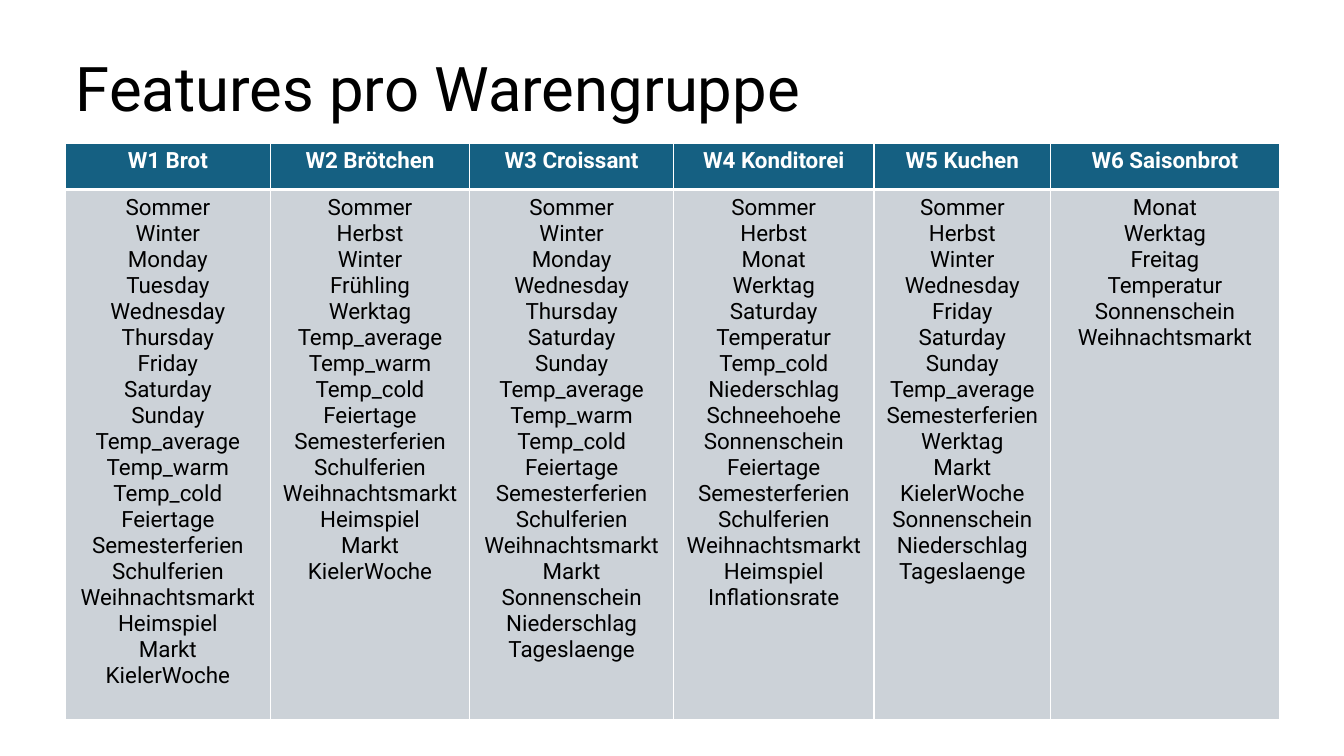
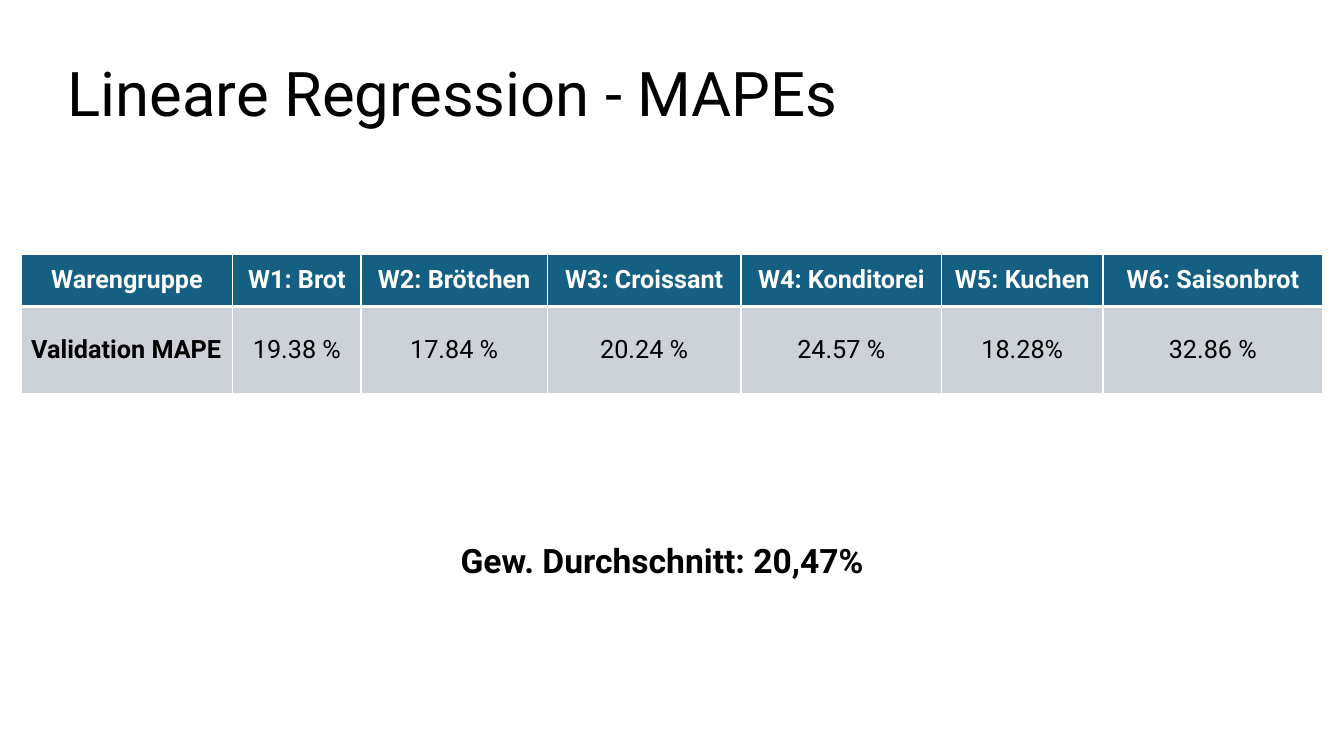
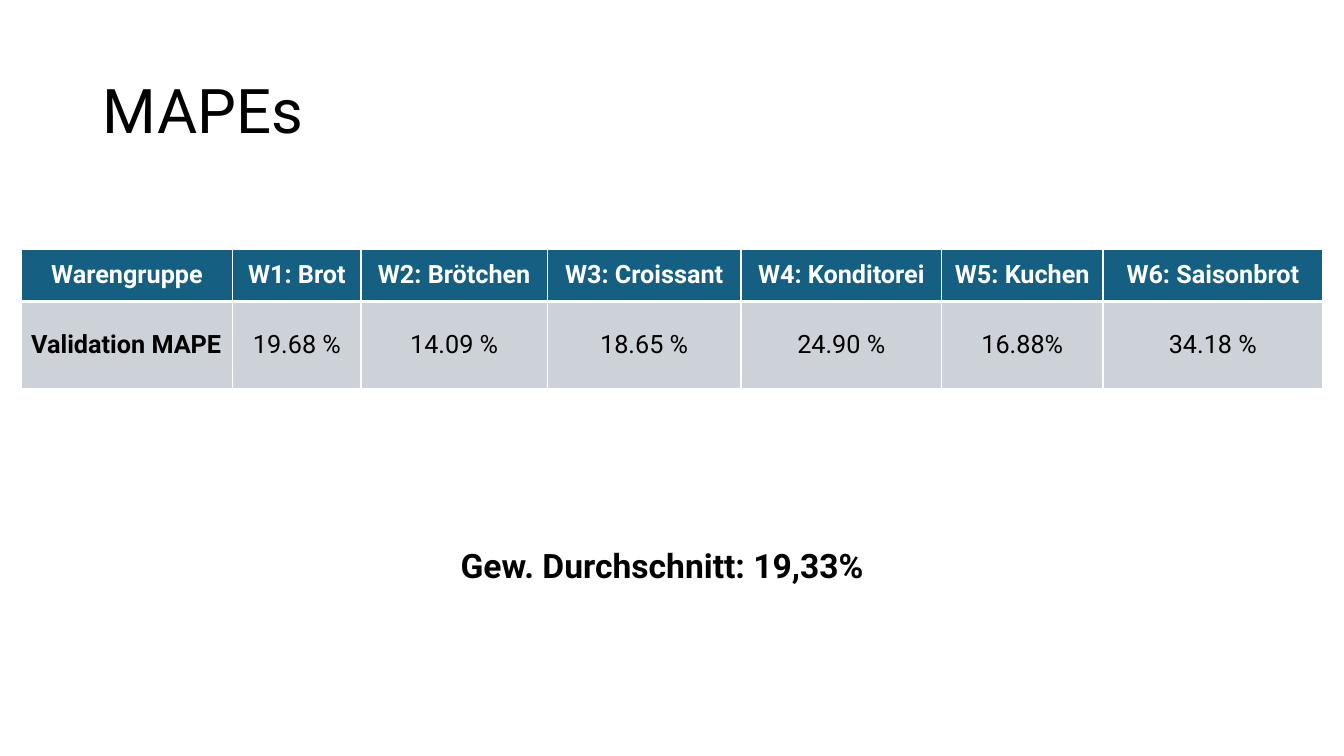
import dataclasses

import lxml.etree
import pptx
import pptx.dml.color
import pptx.enum.text
import pptx.oxml.ns
import pptx.util

PX = 9144  # EMU per px, 100 px to the inch
ALIGN = pptx.enum.text.PP_ALIGN
ANCHOR = pptx.enum.text.MSO_ANCHOR
FIT = pptx.enum.text.MSO_AUTO_SIZE


@dataclasses.dataclass(frozen=True)
class Theme:
    font: str = "Roboto"
    ink: str = "000000"
    white: str = "FFFFFF"
    header: str = "156082"
    body: str = "CCD2D8"
    title_size: int = 44
    average_size: int = 24
    mape_size: int = 18
    feature_size: int = 16
    thin: int = 1
    thick: int = 3


THEME = Theme()

GROUPS = ["Brot", "Brötchen", "Croissant", "Konditorei", "Kuchen", "Saisonbrot"]

# Features of each product group, in the order of GROUPS
FEATURES = [
    "Sommer, Winter, Monday, Tuesday, Wednesday, Thursday, Friday, Saturday, Sunday, "
    "Temp_average, Temp_warm, Temp_cold, Feiertage, Semesterferien, Schulferien, "
    "Weihnachtsmarkt, Heimspiel, Markt, KielerWoche",
    "Sommer, Herbst, Winter, Frühling, Werktag, Temp_average, Temp_warm, Temp_cold, "
    "Feiertage, Semesterferien, Schulferien, Weihnachtsmarkt, Heimspiel, Markt, KielerWoche",
    "Sommer, Winter, Monday, Wednesday, Thursday, Saturday, Sunday, Temp_average, "
    "Temp_warm, Temp_cold, Feiertage, Semesterferien, Schulferien, Weihnachtsmarkt, "
    "Markt, Sonnenschein, Niederschlag, Tageslaenge",
    "Sommer, Herbst, Monat, Werktag, Saturday, Temperatur, Temp_cold Niederschlag, "
    "Schneehoehe, Sonnenschein, Feiertage, Semesterferien, Schulferien, "
    "Weihnachtsmarkt, Heimspiel, Inflationsrate",
    "Sommer, Herbst, Winter, Wednesday, Friday, Saturday, Sunday, Temp_average, "
    "Semesterferien, Werktag, Markt, KielerWoche, Sonnenschein, Niederschlag, Tageslaenge",
    "Monat, Werktag, Freitag, Temperatur, Sonnenschein, Weihnachtsmarkt",
]

FEATURE_COLS = [203, 198, 202, 199, 175, 227]
FEATURE_ROWS = [46, 526]
MAPE_COLS = [210, 127, 185, 192, 199, 160, 218]
MAPE_ROWS = [52, 87]


def emu(*lengths):
    return [pptx.util.Emu(n * PX) for n in lengths]


def rgb(color):
    return pptx.dml.color.RGBColor.from_string(color)


def format_text(tf, size, color, bold=False, align=ALIGN.LEFT):
    for p in tf.paragraphs:
        p.alignment = align
        for r in p.runs:
            r.font.name = THEME.font
            r.font.size = pptx.util.Pt(size)
            r.font.bold = bold
            r.font.color.rgb = rgb(color)


def add_title(s, x, y, text):
    title = s.shapes.title
    title.left, title.top, title.width, title.height = emu(x, y, 1150, 145)
    tf = title.text_frame
    tf.text = text
    tf.word_wrap = True
    tf.auto_size = FIT.NONE
    tf.vertical_anchor = ANCHOR.MIDDLE
    tf.paragraphs[0].line_spacing = 0.9
    format_text(tf, THEME.title_size, THEME.ink)


def set_borders(cell, top, bottom):
    """White lines around a cell, placed ahead of its fill."""
    tc_pr = cell._tc.get_or_add_tcPr()
    widths = {"L": THEME.thin, "R": THEME.thin, "T": top, "B": bottom}
    for i, (side, width) in enumerate(widths.items()):
        ln = lxml.etree.Element(pptx.oxml.ns.qn(f"a:ln{side}"),
                                w=str(pptx.util.Pt(width)))
        fill = lxml.etree.SubElement(ln, pptx.oxml.ns.qn("a:solidFill"))
        lxml.etree.SubElement(fill, pptx.oxml.ns.qn("a:srgbClr"), val=THEME.white)
        tc_pr.insert(i, ln)


def add_table(s, x, y, cols, heights, rows, size, anchor, row_label=False):
    """A header row over one body row; row_label makes the first column a label."""
    box = emu(x, y, sum(cols), sum(heights))
    table = s.shapes.add_table(len(rows), len(cols), *box).table
    table.horz_banding = False
    for column, width in zip(table.columns, emu(*cols)):
        column.width = width
    for row, height in zip(table.rows, emu(*heights)):
        row.height = height

    for i, texts in enumerate(rows):
        is_header = i == 0
        for j, text in enumerate(texts):
            cell = table.cell(i, j)
            is_label = row_label and j == 0 and not is_header
            cell.text_frame.text = text
            cell.vertical_anchor = anchor
            cell.fill.solid()
            cell.fill.fore_color.rgb = rgb(THEME.header if is_header else THEME.body)
            format_text(cell.text_frame, size,
                        THEME.white if is_header else THEME.ink,
                        bold=is_header or is_label,
                        align=ALIGN.LEFT if is_label else ALIGN.CENTER)
            if is_label:
                cell.margin_right, = emu(4)
            set_borders(cell,
                        top=THEME.thin if is_header else THEME.thick,
                        bottom=THEME.thick if is_header else THEME.thin)


def add_average(s, x, y, value):
    tf = s.shapes.add_textbox(*emu(x, y, 439, 50)).text_frame
    tf.text = f"Gew. Durchschnitt: {value}"
    tf.word_wrap = False
    tf.auto_size = FIT.SHAPE_TO_FIT_TEXT
    format_text(tf, THEME.average_size, THEME.ink, bold=True)


def new_slide(prs):
    return prs.slides.add_slide(prs.slide_layouts[5])


def features_slide(prs):
    s = new_slide(prs)
    add_title(s, 65, 18, "Features pro Warengruppe")
    header = [f"W{n} {group}" for n, group in enumerate(GROUPS, 1)]
    body = [features.replace(", ", "\n") for features in FEATURES]
    add_table(s, 65, 142, FEATURE_COLS, FEATURE_ROWS, [header, body],
              THEME.feature_size, ANCHOR.TOP)


def mape_slide(prs, title, title_at, table_y, values, average, average_y):
    s = new_slide(prs)
    add_title(s, *title_at, title)
    header = ["Warengruppe"] + [f"W{n}: {group}" for n, group in enumerate(GROUPS, 1)]
    add_table(s, 21, table_y, MAPE_COLS, MAPE_ROWS,
              [header, ["Validation MAPE"] + values],
              THEME.mape_size, ANCHOR.MIDDLE, row_label=True)
    add_average(s, 447, average_y, average)


def main():
    prs = pptx.Presentation()
    prs.slide_width, prs.slide_height = pptx.util.Inches(13.33), pptx.util.Inches(7.5)
    features_slide(prs)
    mape_slide(prs, "Lineare Regression - MAPEs", (57, 23), 252,
               ["19.38 %", "17.84 %", "20.24 %", "24.57 %", "18.28%", "32.86 %"],
               "20,47%", 531)
    mape_slide(prs, "MAPEs", (92, 40), 247,
               ["19.68 %", "14.09 %", "18.65 %", "24.90 %", "16.88%", "34.18 %"],
               "19,33%", 536)
    prs.save("out.pptx")


if __name__ == "__main__":
    main()
